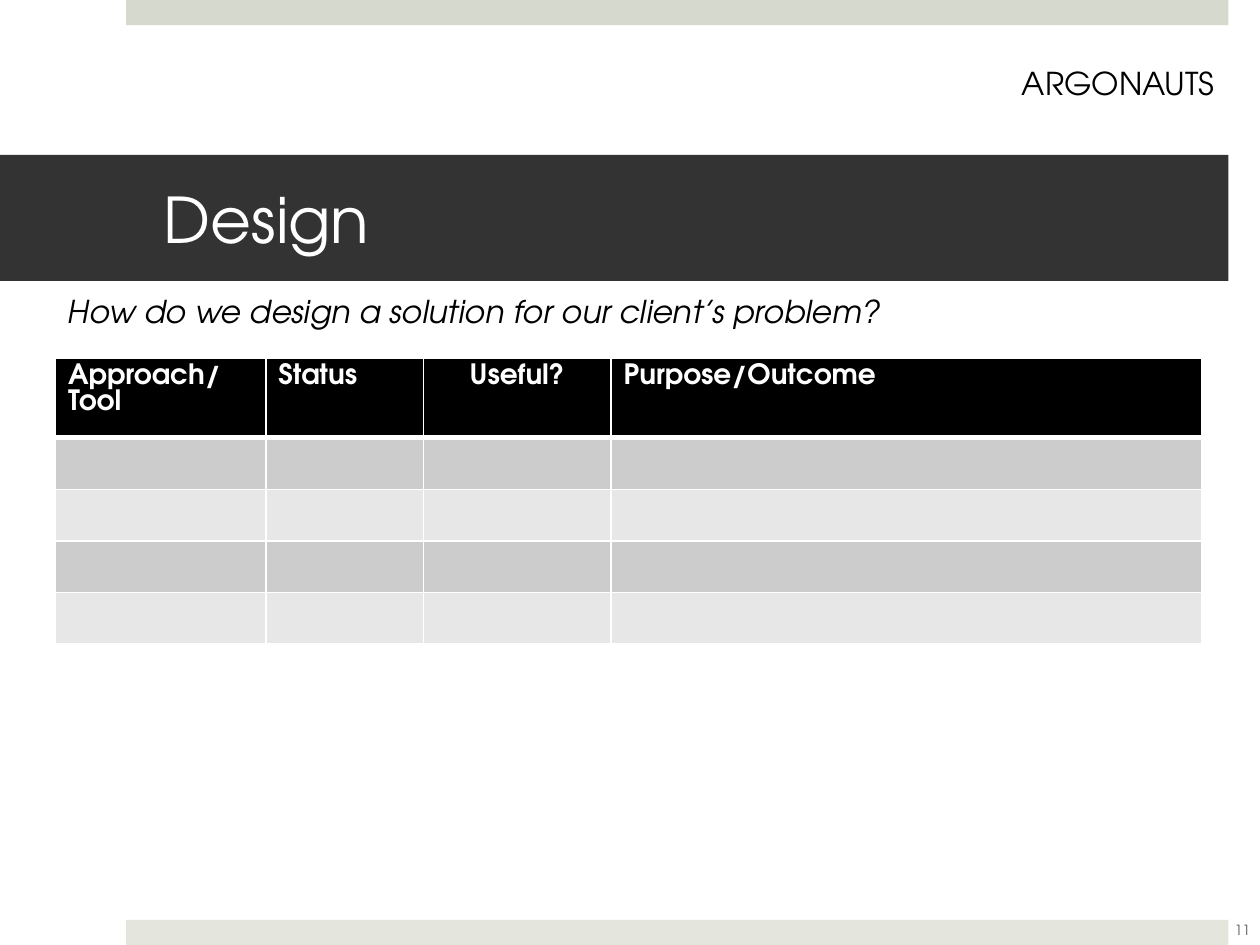
"""Build the Design slide with its approach and tool table."""
from lxml import etree
from pptx import Presentation
from pptx.dml.color import RGBColor
from pptx.enum.shapes import MSO_SHAPE
from pptx.enum.text import MSO_ANCHOR, PP_ALIGN
from pptx.oxml.ns import qn
from pptx.util import Inches, Pt

RECT = MSO_SHAPE.RECTANGLE
LEFT, MID = PP_ALIGN.LEFT, PP_ALIGN.CENTER
TOP, HALF = MSO_ANCHOR.TOP, MSO_ANCHOR.MIDDLE
FONT = "TeX Gyre Adventor"
HEX = {"top": "D6D9CD", "foot": "E4E6DE", "band": "333333", "head": "000000",
       "odd": "CCCCCC", "even": "E7E7E7", "white": "FFFFFF", "gray": "595959"}


def style(frame, text, color, align, **form):
    para = frame.paragraphs[0]
    para.alignment = align
    run = para.add_run()
    run.text = text
    run.font.color.rgb = RGBColor.from_string(HEX[color])
    for key, val in {"name": FONT, **form}.items():
        setattr(run.font, key, val)


def edge(cell, foot):
    props = cell._tc.get_or_add_tcPr()
    for pos, (side, width) in enumerate({"lnL": 1, "lnR": 1, "lnT": 1, "lnB": foot}.items()):
        line = etree.Element(qn(f"a:{side}"), w=str(Pt(width)))
        fill = etree.SubElement(line, qn("a:solidFill"))
        etree.SubElement(fill, qn("a:srgbClr"), val=HEX["white"])
        props.insert(pos, line)


deck = Presentation()
deck.slide_width, deck.slide_height = Inches(10), Inches(7.5)
slide = deck.slides.add_slide(deck.slide_layouts[6])
shapes = slide.shapes

bars = {}
for name, box in {"top": (1, 0, 8.75, 0.2), "foot": (1, 7.3, 8.75, 0.2),
                  "band": (0, 1.23, 9.75, 1)}.items():
    bar = shapes.add_shape(RECT, *map(Inches, box))
    bar.shadow.inherit = False
    bar.fill.solid()
    bar.fill.fore_color.rgb = RGBColor.from_string(HEX[name])
    bar.line.fill.background()
    bars[name] = bar

title = bars["band"].text_frame
title.margin_left, title.margin_right = Inches(1.3), Inches(0.3)
title.vertical_anchor = HALF
style(title, "Design", "white", LEFT, size=Pt(36))

notes = [
    ("How do we design a solution for our client’s problem?", (0.44, 2.27, 6.79, 0.4),
     "head", LEFT, TOP, False, {"size": Pt(18), "italic": True}),
    ("ARGONAUTS", (8, 0.46, 1.75, 0.4), "head", MID, TOP, False, {"size": Pt(18)}),
    ("11", (9.61, 7.18, 0.5, 0.4), "gray", MID, HALF, True, {"size": Pt(8)}),
]
for text, box, color, align, anchor, wrap, form in notes:
    frame = shapes.add_textbox(*map(Inches, box)).text_frame
    frame.word_wrap, frame.vertical_anchor = wrap, anchor
    style(frame, text, color, align, **form)

cols = [("Approach/Tool", 1.67, LEFT), ("Status", 1.25, LEFT),
        ("Useful?", 1.49, MID), ("Purpose/Outcome", 4.69, LEFT)]
rows = ["head"] + ["odd", "even"] * 2
grid = shapes.add_table(len(rows), len(cols), *map(Inches, (0.44, 2.84, 9.1, 2.25))).table
for col, (text, width, align) in enumerate(cols):
    grid.columns[col].width = Inches(width)
    style(grid.cell(0, col).text_frame, text, "white", align, size=Pt(16), bold=True)
for row, tone in enumerate(rows):
    grid.rows[row].height = Inches(0.41 if row else 0.61)
    for cell in grid.rows[row].cells:
        cell.fill.solid()
        cell.fill.fore_color.rgb = RGBColor.from_string(HEX[tone])
        edge(cell, 1 if row else 3)

deck.save("out.pptx")
